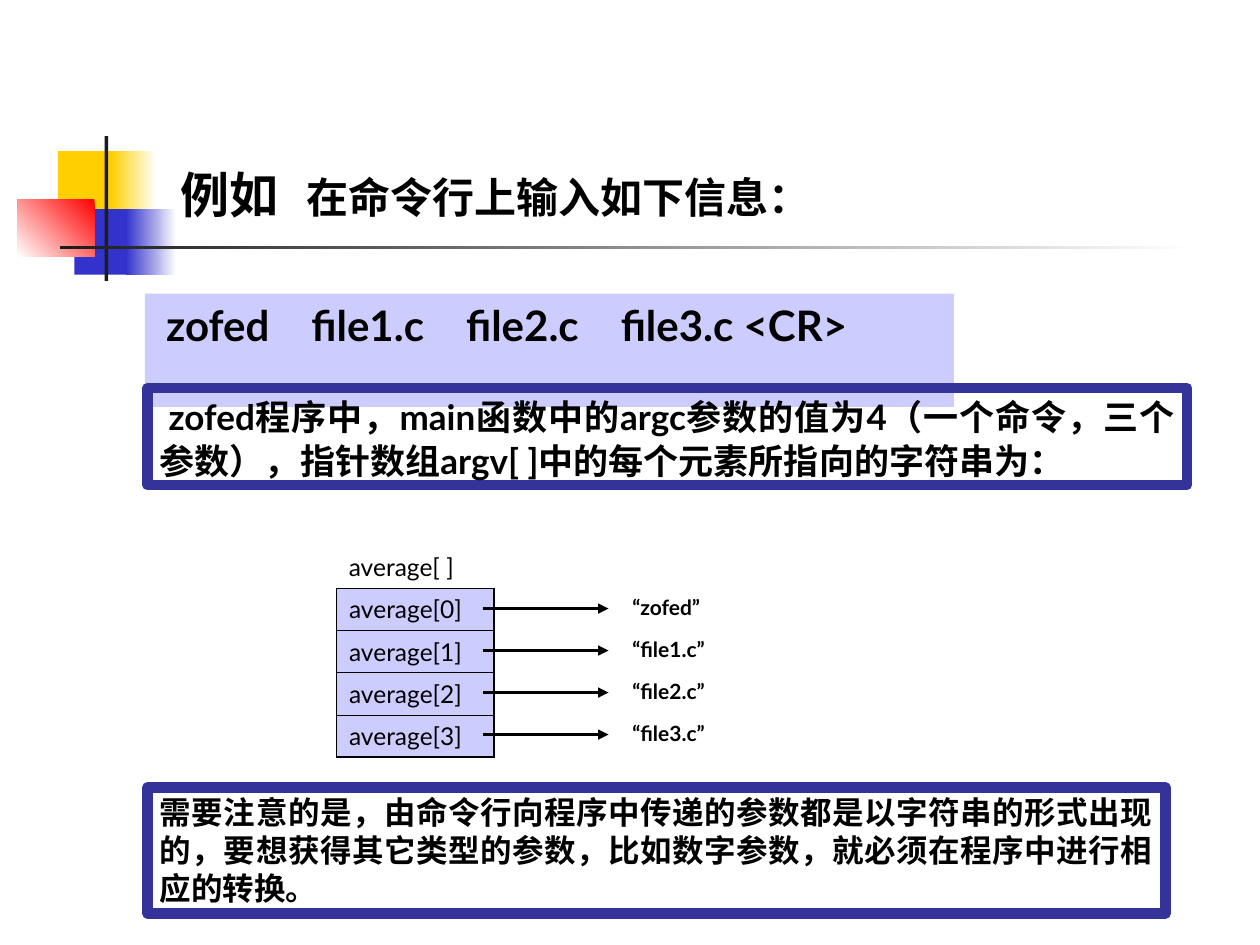
from lxml import etree
from pptx import Presentation
from pptx.dml.color import RGBColor
from pptx.enum.shapes import MSO_CONNECTOR, MSO_SHAPE
from pptx.enum.text import MSO_ANCHOR, MSO_AUTO_SIZE, PP_ALIGN
from pptx.oxml.ns import qn
from pptx.util import Inches, Pt

RECT = MSO_SHAPE.RECTANGLE
STRAIGHT = MSO_CONNECTOR.STRAIGHT
TOP, BOTTOM = MSO_ANCHOR.TOP, MSO_ANCHOR.BOTTOM
LEFT, JUSTIFY = PP_ALIGN.LEFT, PP_ALIGN.JUSTIFY
NO_AUTOFIT = MSO_AUTO_SIZE.NONE

BLACK = RGBColor(0x00, 0x00, 0x00)
WHITE = RGBColor(0xFF, 0xFF, 0xFF)
YELLOW = RGBColor(0xFF, 0xCF, 0x01)
BLUE = RGBColor(0x33, 0x33, 0xCC)
RED = RGBColor(0xFF, 0x00, 0x00)
DARK = RGBColor(0x1C, 0x1C, 0x1C)
LAVENDER = RGBColor(0xCC, 0xCC, 0xFF)
INDIGO = RGBColor(0x33, 0x33, 0x99)

LATO, CJK, TIMES = "Lato", "Noto Sans CJK SC", "Times New Roman"

# (left, top, width, height), gradient start and end colours or one colour, angle
DECORATION = [
    ((0.46, 1.2, 0.48, 0.52), (YELLOW,), 0),
    ((0.88, 1.2, 0.36, 0.52), (WHITE, YELLOW), 180),
    ((0.59, 1.66, 0.46, 0.52), (BLUE,), 0),
    ((1, 1.66, 0.4, 0.52), (WHITE, BLUE), 180),
    ((0.14, 1.58, 0.61, 0.46), (RED, WHITE), 225),
    ((0.83, 1.08, 0.03, 1.15), (DARK,), 0),
    ((0.48, 1.95, 9, 0.03), (WHITE, DARK), 180),
]
# Runs are (text, font, size)
TITLE = [("例如", CJK, 28), ("\t在命令行上输入如下信息：", CJK, 24)]
COMMAND = [("zofed　file1.c　file2.c　file3.c <CR>", LATO, 24)]
EXPLANATION = [
    ("zofed", LATO, 20), ("程序中，", TIMES, 20), ("main", LATO, 20),
    ("函数中的", TIMES, 20), ("argc", LATO, 20), ("参数的值为", TIMES, 20),
    ("4", LATO, 20), ("（一个命令，三个参数），指针数组", TIMES, 20),
    ("argv[ ]", LATO, 20), ("中的每个元素所指向的字符串为：", TIMES, 20),
]
NOTE = [("需要注意的是，由命令行向程序中传递的参数都是以字符串的形式出现的，"
         "要想获得其它类型的参数，比如数字参数，就必须在程序中进行相应的转换。",
         TIMES, 18)]
ARRAY_NAME = "average[ ]"
ELEMENTS = [("average[0]", "“zofed”"), ("average[1]", "“file1.c”"),
            ("average[2]", "“file2.c”"), ("average[3]", "“file3.c”")]

TABLE_LEFT, TABLE_TOP, TABLE_WIDTH, ROW_HEIGHT = 2.67, 4.67, 1.25, 0.335
ARROW_LEFT, ARROW_RIGHT, ARROW_TOP = 3.83, 4.83, 4.83
LABEL_LEFT, STEP = 4.92, 1 / 3


def box(*lengths):
    return [Inches(n) for n in lengths]


def write(tf, runs, align=LEFT, anchor=TOP, bold=True, wrap=True,
          indent=0, tab=None, line_pt=None):
    """Fill a text frame with one paragraph of formatted runs."""
    tf.word_wrap = wrap
    tf.auto_size = NO_AUTOFIT
    tf.vertical_anchor = anchor
    p = tf.paragraphs[0]
    p.alignment = align
    if line_pt:
        p.line_spacing = Pt(line_pt)
    pPr = p._p.get_or_add_pPr()
    pPr.set("indent", str(Inches(indent)))
    if tab:
        tabs = etree.SubElement(pPr, qn("a:tabLst"))
        etree.SubElement(tabs, qn("a:tab"), pos=str(Inches(tab)), algn="l")
    for text, font, size in runs:
        r = p.add_run()
        r.text = text
        r.font.name, r.font.size, r.font.bold = font, Pt(size), bold
        r.font.color.rgb = BLACK
        latin = r.font._element.find(qn("a:latin"))
        latin.addnext(latin.makeelement(qn("a:ea"), {"typeface": CJK}))


def add_rect(slide, at, colors=(), angle=0, border=None):
    sp = slide.shapes.add_shape(RECT, *box(*at))
    sp.shadow.inherit = False
    if len(colors) == 2:
        sp.fill.gradient()
        sp.fill.gradient_angle = angle
        for stop, color in zip(sp.fill.gradient_stops, colors):
            stop.color.rgb = color
    elif colors:
        sp.fill.solid()
        sp.fill.fore_color.rgb = colors[0]
    else:
        sp.fill.background()
    if border:
        sp.line.color.rgb = border
        sp.line.width = Pt(6)
    else:
        sp.line.fill.background()
    return sp


def add_label(slide, at, text, size, **fmt):
    sp = slide.shapes.add_textbox(*box(*at))
    write(sp.text_frame, [(text, LATO, size)], **fmt)


def add_arrow(slide, y):
    line = slide.shapes.add_connector(
        STRAIGHT, *box(ARROW_LEFT, y, ARROW_RIGHT, y))
    line.line.color.rgb = BLACK
    line.line.width = Pt(1.5)
    etree.SubElement(line.line._get_or_add_ln(), qn("a:tailEnd"), type="triangle")
    etree.SubElement(line._element.spPr, qn("a:effectLst"))


def set_borders(cell, **widths):
    """Draw black cell borders; the widths are in points by side."""
    tcPr = cell._tc.get_or_add_tcPr()
    for i, side in enumerate(("L", "R", "T", "B")):
        ln = tcPr.makeelement(qn(f"a:ln{side}"), {"w": str(Pt(widths[side]))})
        fill = etree.SubElement(ln, qn("a:solidFill"))
        etree.SubElement(fill, qn("a:srgbClr"), val=str(BLACK))
        tcPr.insert(i, ln)


def add_array(slide):
    rows = len(ELEMENTS)
    table = slide.shapes.add_table(rows, 1, *box(
        TABLE_LEFT, TABLE_TOP, TABLE_WIDTH, ROW_HEIGHT * rows)).table
    table.first_row = table.horz_banding = False
    for i, (name, value) in enumerate(ELEMENTS):
        table.rows[i].height = Inches(ROW_HEIGHT)
        cell = table.cell(i, 0)
        write(cell.text_frame, [(name, LATO, 14)], bold=False)
        cell.fill.solid()
        cell.fill.fore_color.rgb = LAVENDER
        set_borders(cell, L=1.08, R=1.08, T=0.45 if i else 1.08,
                    B=0.45 if i < rows - 1 else 1.08)
        add_arrow(slide, ARROW_TOP + i * STEP)
        add_label(slide, (LABEL_LEFT, TABLE_TOP + i * STEP, 1, 0.3), value, 12)
    add_label(slide, (TABLE_LEFT, 4.33, 1.11, 0.34), ARRAY_NAME, 14,
              bold=False, wrap=False)


def main():
    prs = Presentation()
    prs.slide_width, prs.slide_height = box(10, 7.5)
    slide = prs.slides.add_slide(prs.slide_layouts[5])
    for at, colors, angle in DECORATION:
        add_rect(slide, at, colors, angle)

    title = slide.shapes.title
    title.left, title.top, title.width, title.height = box(1.33, 1.08, 7.17, 0.74)
    write(title.text_frame, TITLE, anchor=BOTTOM, tab=1.04)

    command = add_rect(slide, (1.15, 2.33, 6.42, 0.9), (LAVENDER,))
    write(command.text_frame, COMMAND, align=JUSTIFY, indent=0.07)
    explanation = add_rect(slide, (1.17, 3.08, 8.25, 0.77), border=INDIGO)
    write(explanation.text_frame, EXPLANATION, align=JUSTIFY, indent=0.07,
          line_pt=25)
    add_array(slide)
    note = add_rect(slide, (1.17, 6.25, 8.08, 1), border=INDIGO)
    write(note.text_frame, NOTE, align=JUSTIFY, line_pt=21.5)
    prs.save("out.pptx")


if __name__ == "__main__":
    main()
